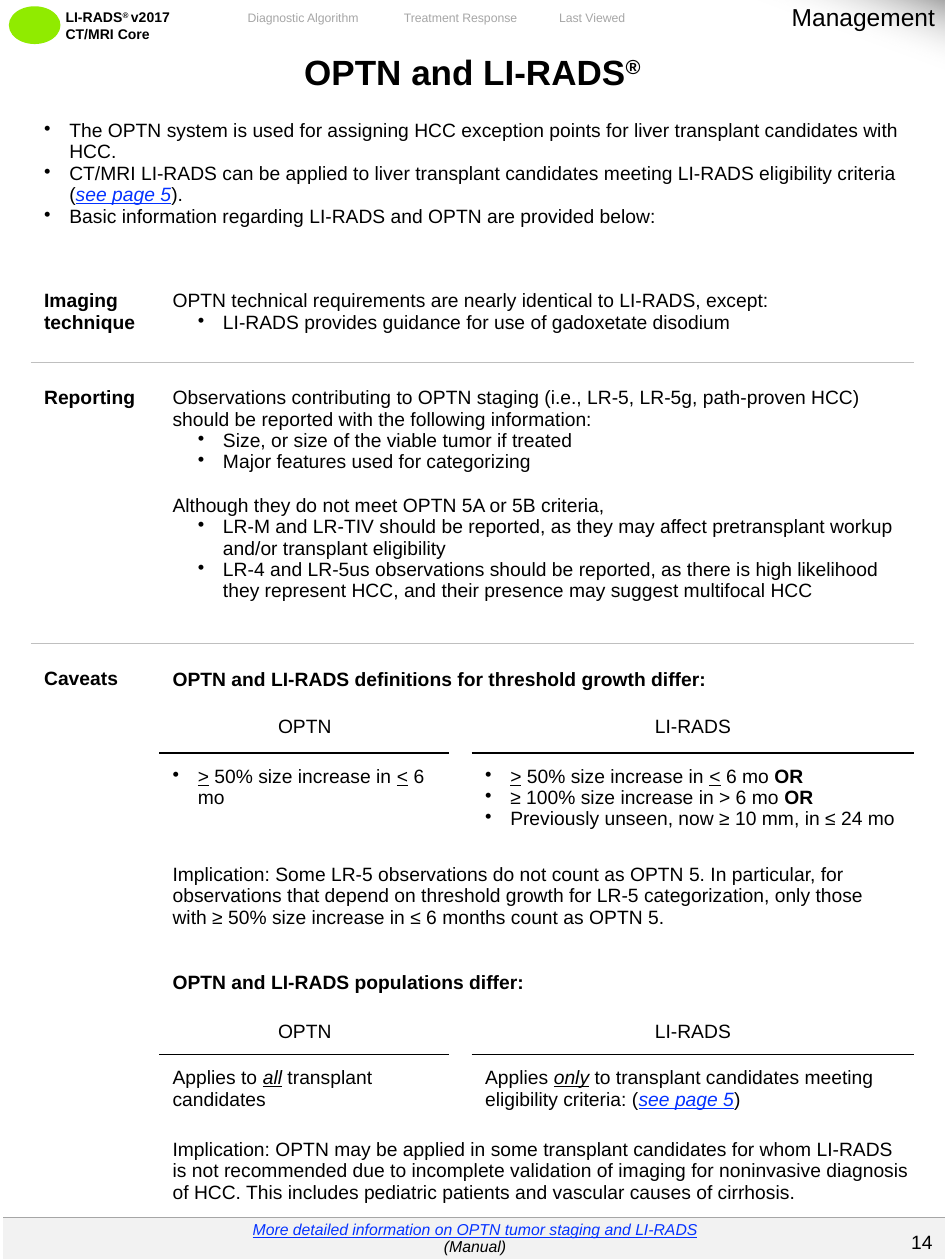
from dataclasses import dataclass

from lxml.etree import SubElement
from pptx import Presentation
from pptx.dml.color import RGBColor
from pptx.enum.shapes import MSO_SHAPE
from pptx.enum.text import MSO_ANCHOR, PP_ALIGN
from pptx.oxml.ns import qn
from pptx.util import Inches, Pt


@dataclass(frozen=True)
class Theme:
    font: str = "Arial"
    black: str = "000000"
    white: str = "FFFFFF"
    link: str = "0432FF"
    muted: str = "A6A6A6"
    rule: str = "BFBFBF"
    footer: str = "F2F2F2"
    mark: str = "90EB00"
    title_size: float = 20
    section_size: float = 14
    body_size: float = 11
    footer_size: float = 9
    brand_size: float = 8
    menu_size: float = 7
    blank_line: float = 12.5


THEME = Theme()
COLUMNS = (1.02, 2.3, 0.18, 3.5)
ROWS = (0.48, 1.22, 0.77, 2.23, 0.48, 0.39, 0.74, 0.77, 0.47, 0.39, 0.56, 0.74)
SECTION_MARGINS = (0.1, 0.2, 0.1, 0.2)
CELL_MARGINS = (0.1, 0.1, 0.1, 0.1)
TIGHT_MARGINS = (0.1, 0.1, 0, 0.1)
PAGE_LINK = ("see page 5", "link")
GROWTH = ((">", "underline"), " 50% size increase in ", ("<", "underline"))


def line(*runs, indent=0, **options):
    return {"runs": runs, "indent": indent, **options}


def bullet(*runs, indent=0.2):
    return line(*runs, indent=indent)


def add_run(paragraph, content):
    text, style = (content, "") if isinstance(content, str) else content
    run = paragraph.add_run()
    run.text = text
    if style == "bold":
        run.font.bold = True
    if style in ("underline", "emphasis", "link"):
        run.font.underline = True
    if style in ("emphasis", "link"):
        run.font.italic = True
    if style == "link":
        run.font.color.rgb = RGBColor.from_string(THEME.link)
    if style == "superscript":
        run._r.get_or_add_rPr().set("baseline", "30000")


def write(frame, lines, size=THEME.body_size, color=THEME.black, bold=False,
          italic=False, align=PP_ALIGN.LEFT):
    for index, content in enumerate(lines):
        paragraph = frame.paragraphs[0] if index == 0 else frame.add_paragraph()
        paragraph.alignment = align
        if "before" in content:
            paragraph.space_before = Pt(content["before"])
        if content["indent"]:
            properties = paragraph._p.get_or_add_pPr()
            properties.set("marL", str(Inches(content["indent"])))
            properties.set("indent", str(Inches(-0.2)))
            SubElement(properties, qn("a:buChar")).set("char", "•")
        paragraph.font.name = THEME.font
        paragraph.font.size = Pt(size)
        paragraph.font.bold = bold
        paragraph.font.italic = italic
        paragraph.font.color.rgb = RGBColor.from_string(color)
        for run in content["runs"]:
            add_run(paragraph, run)


def add_text(slide, box, lines, wrap=True, anchor=MSO_ANCHOR.TOP, **style):
    shape = slide.shapes.add_textbox(*map(Inches, box))
    frame = shape.text_frame
    frame.word_wrap = wrap
    frame.vertical_anchor = anchor
    write(frame, lines, **style)
    return frame


def set_margins(cell, margins):
    sides = map(Inches, margins)
    cell.margin_left, cell.margin_top, cell.margin_right, cell.margin_bottom = sides


def fill_cell(cell, lines, margins=CELL_MARGINS, anchor=MSO_ANCHOR.TOP, **style):
    set_margins(cell, margins)
    cell.vertical_anchor = anchor
    write(cell.text_frame, lines, **style)


def add_border(cell, side, color, width):
    border = SubElement(cell._tc.get_or_add_tcPr(), qn(f"a:{side}"), w=str(Pt(width)))
    SubElement(SubElement(border, qn("a:solidFill")), qn("a:srgbClr"), val=color)


def add_table(slide, left, top, columns, rows, rules, fill):
    shape = slide.shapes.add_table(
        len(rows), len(columns), Inches(left), Inches(top),
        Inches(sum(columns)), Inches(sum(rows)))
    table = shape.table
    table.first_row = table.horz_banding = False
    for column, width in zip(table.columns, columns):
        column.width = Inches(width)
    for row, height in zip(table.rows, rows):
        row.height = Inches(height)
    for row in range(len(rows)):
        for column in range(len(columns)):
            cell = table.cell(row, column)
            set_margins(cell, (0, 0, 0, 0))
            for side, edge in (("lnT", row), ("lnB", row + 1)):
                if (edge, column) in rules:
                    add_border(cell, side, *rules[edge, column])
            cell.fill.solid()
            cell.fill.fore_color.rgb = RGBColor.from_string(fill)
    return table


def add_comparison(table, row, left_lines, right_lines, anchor):
    for column, name, lines, margins in (
            (1, "OPTN", left_lines, TIGHT_MARGINS), (3, "LI-RADS", right_lines, CELL_MARGINS)):
        fill_cell(table.cell(row, column), [line(name)], anchor=anchor, align=PP_ALIGN.CENTER)
        fill_cell(table.cell(row + 1, column), lines, margins)


def add_main_table(slide):
    rules = {(edge, column): (THEME.rule, 0.5) for edge in (3, 4) for column in range(4)}
    rules.update({(edge, column): (THEME.black, 1) for edge in (6, 10) for column in (1, 3)})
    table = add_table(slide, 0.25, 0.4, COLUMNS, ROWS, rules, THEME.white)
    for row in (0, 1):
        table.cell(row, 0).merge(table.cell(row, 3))
    for row in (2, 3, 4, 7, 8, 11):
        table.cell(row, 1).merge(table.cell(row, 3))
    table.cell(4, 0).merge(table.cell(11, 0))

    fill_cell(table.cell(0, 0), [line("OPTN and LI-RADS", ("®", "superscript"))],
              (0.1, 0, 0.1, 0.15), MSO_ANCHOR.BOTTOM,
              size=THEME.title_size, bold=True, align=PP_ALIGN.CENTER)
    fill_cell(table.cell(1, 0), [
        bullet("The OPTN system is used for assigning HCC exception points for liver transplant candidates with HCC."),
        bullet("CT/MRI LI-RADS can be applied to liver transplant candidates meeting LI-RADS eligibility criteria (",
               PAGE_LINK, ")."),
        bullet("Basic information regarding LI-RADS and OPTN are provided below:"),
    ], (0.1, 0, 0.1, 0.3), MSO_ANCHOR.BOTTOM)
    for row, heading in ((2, "Imaging technique"), (3, "Reporting"), (4, "Caveats")):
        fill_cell(table.cell(row, 0), [line(heading)], SECTION_MARGINS, bold=True)
    fill_cell(table.cell(2, 1), [
        line("OPTN technical requirements are nearly identical to LI-RADS, except:"),
        bullet("LI-RADS provides guidance for use of gadoxetate disodium", indent=0.4),
    ], SECTION_MARGINS)
    fill_cell(table.cell(3, 1), [
        line("Observations contributing to OPTN staging (i.e., LR-5, LR-5g, path-proven HCC) "
             "should be reported with the following information:"),
        bullet("Size, or size of the viable tumor if treated", indent=0.4),
        bullet("Major features used for categorizing", indent=0.4),
        line("Although they do not meet OPTN 5A or 5B criteria,", before=THEME.blank_line),
        bullet("LR-M and LR-TIV should be reported, as they may affect pretransplant workup "
               "and/or transplant eligibility", indent=0.4),
        bullet("LR-4 and LR-5us observations should be reported, as there is high likelihood "
               "they represent HCC, and their presence may suggest multifocal HCC", indent=0.4),
    ], SECTION_MARGINS)
    for row, heading, anchor in (
            (4, "OPTN and LI-RADS definitions for threshold growth differ:", MSO_ANCHOR.MIDDLE),
            (8, "OPTN and LI-RADS populations differ:", MSO_ANCHOR.BOTTOM)):
        fill_cell(table.cell(row, 1), [line(heading)], (0.1, 0.2, 0.1, 0.1), anchor, bold=True)
    add_comparison(table, 5, [bullet(*GROWTH, " 6 mo")], [
        bullet(*GROWTH, " 6 mo ", ("OR", "bold")),
        bullet("≥ 100% size increase in > 6 mo ", ("OR", "bold")),
        bullet("Previously unseen, now ≥ 10 mm, in ≤ 24 mo"),
    ], MSO_ANCHOR.TOP)
    fill_cell(table.cell(7, 1), [line(
        "Implication: Some LR-5 observations do not count as OPTN 5. In particular, for "
        "observations that depend on threshold growth for LR-5 categorization, only those "
        "with ≥ 50% size increase in ≤ 6 months count as OPTN 5.")], anchor=MSO_ANCHOR.MIDDLE)
    add_comparison(
        table, 9, [line("Applies to ", ("all", "emphasis"), " transplant candidates")],
        [line("Applies ", ("only", "emphasis"),
              " to transplant candidates meeting eligibility criteria: (", PAGE_LINK, ")")],
        MSO_ANCHOR.BOTTOM)
    fill_cell(table.cell(11, 1), [line(
        "Implication: OPTN may be applied in some transplant candidates for whom LI-RADS "
        "is not recommended due to incomplete validation of imaging for noninvasive diagnosis "
        "of HCC. This includes pediatric patients and vascular causes of cirrhosis.")], TIGHT_MARGINS)


def add_header(slide):
    mark = slide.shapes.add_shape(MSO_SHAPE.OVAL, *map(Inches, (0.07, 0.05, 0.41, 0.3)))
    mark.shadow.inherit = False
    mark.fill.solid()
    mark.fill.fore_color.rgb = RGBColor.from_string(THEME.mark)
    mark.line.fill.background()
    brand = add_text(slide, (0.45, 0.03, 1.29, 0.34), [
        line("LI-RADS", ("® ", "superscript"), "v2017"), line("CT/MRI Core"),
    ], size=THEME.brand_size, bold=True)
    brand.margin_left = brand.margin_right = Inches(0.07)
    brand.margin_top = brand.margin_bottom = Inches(0.04)
    for left, width, label in ((1.83, 1.15, "Diagnostic Algorithm"),
                               (3.08, 1.15, "Treatment Response"),
                               (4.32, 0.76, "Last Viewed")):
        add_text(slide, (left, 0.03, width, 0.22), [line(label)], wrap=False,
                 anchor=MSO_ANCHOR.MIDDLE, size=THEME.menu_size, color=THEME.muted,
                 align=PP_ALIGN.CENTER)


def add_corner(slide):
    corner = slide.shapes.add_shape(
        MSO_SHAPE.RIGHT_TRIANGLE, *map(Inches, (5.99, 0, 1.51, 0.55)))
    corner.rotation = 180
    corner.shadow.inherit = False
    corner.line.fill.background()
    corner.fill.gradient()
    corner.fill.gradient_angle = 70
    for stop, position, color in zip(corner.fill.gradient_stops, (0, 0.5),
                                     (THEME.muted, THEME.white)):
        stop.position = position
        stop.color.rgb = RGBColor.from_string(color)
    clear = list(corner._element.iter(qn("a:srgbClr")))[-1]
    SubElement(clear, qn("a:alpha"), val="0")
    add_text(slide, (5.42, -0.03, 2.1, 0.34), [line("Management")],
             size=THEME.section_size, align=PP_ALIGN.RIGHT)


def add_footer(slide):
    table = add_table(slide, 0.02, 9.66, (7.5,), (0.34,),
                      {(0, 0): (THEME.muted, 0.25)}, THEME.footer)
    fill_cell(table.cell(0, 0), [
        line(("More detailed information on OPTN tumor staging and LI-RADS", "link")),
        line("(Manual)"),
    ], (0.1, 0.02, 0.1, 0.02), MSO_ANCHOR.MIDDLE,
        size=THEME.footer_size, italic=True, align=PP_ALIGN.CENTER)
    add_text(slide, (7.01, 9.71, 0.49, 0.29), [line("14")], wrap=False,
             anchor=MSO_ANCHOR.MIDDLE, align=PP_ALIGN.RIGHT)


def main():
    presentation = Presentation()
    presentation.slide_width = Inches(7.5)
    presentation.slide_height = Inches(10)
    slide = presentation.slides.add_slide(presentation.slide_layouts[6])
    add_header(slide)
    add_main_table(slide)
    add_footer(slide)
    add_corner(slide)
    presentation.save("out.pptx")


if __name__ == "__main__":
    main()
